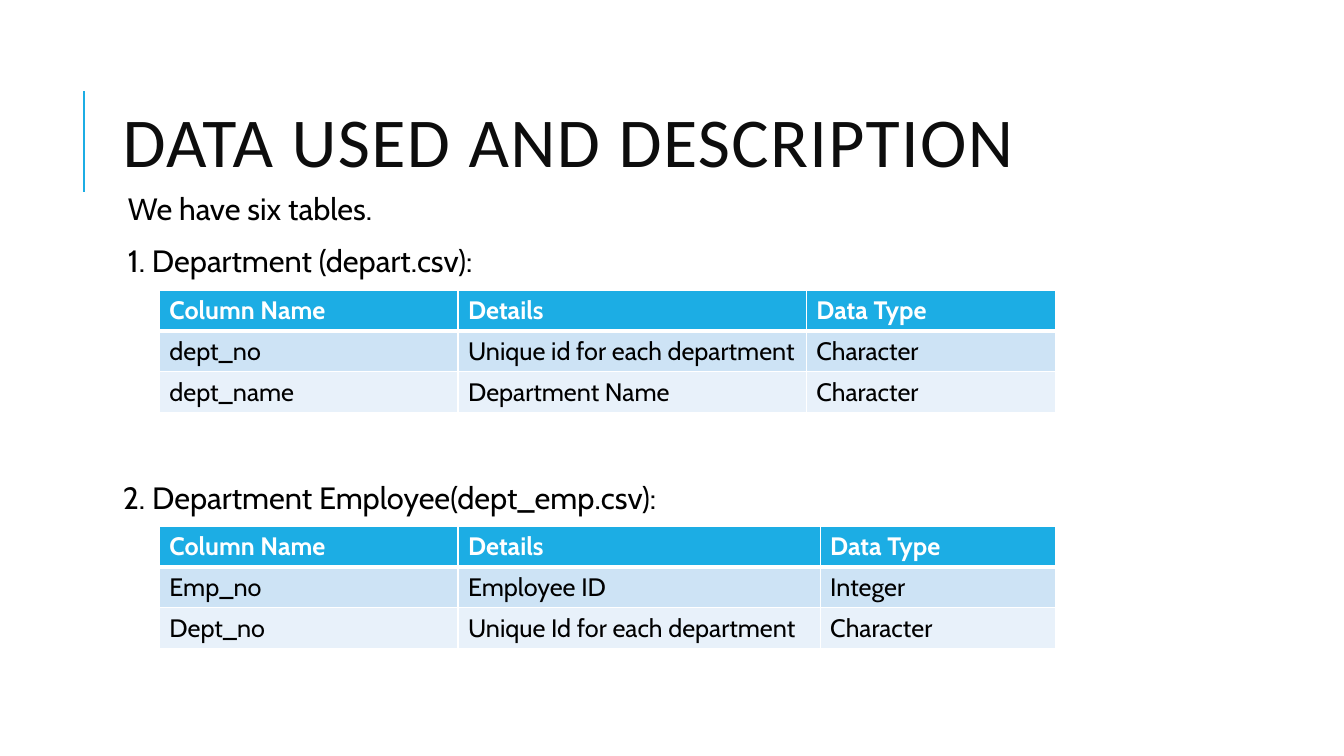
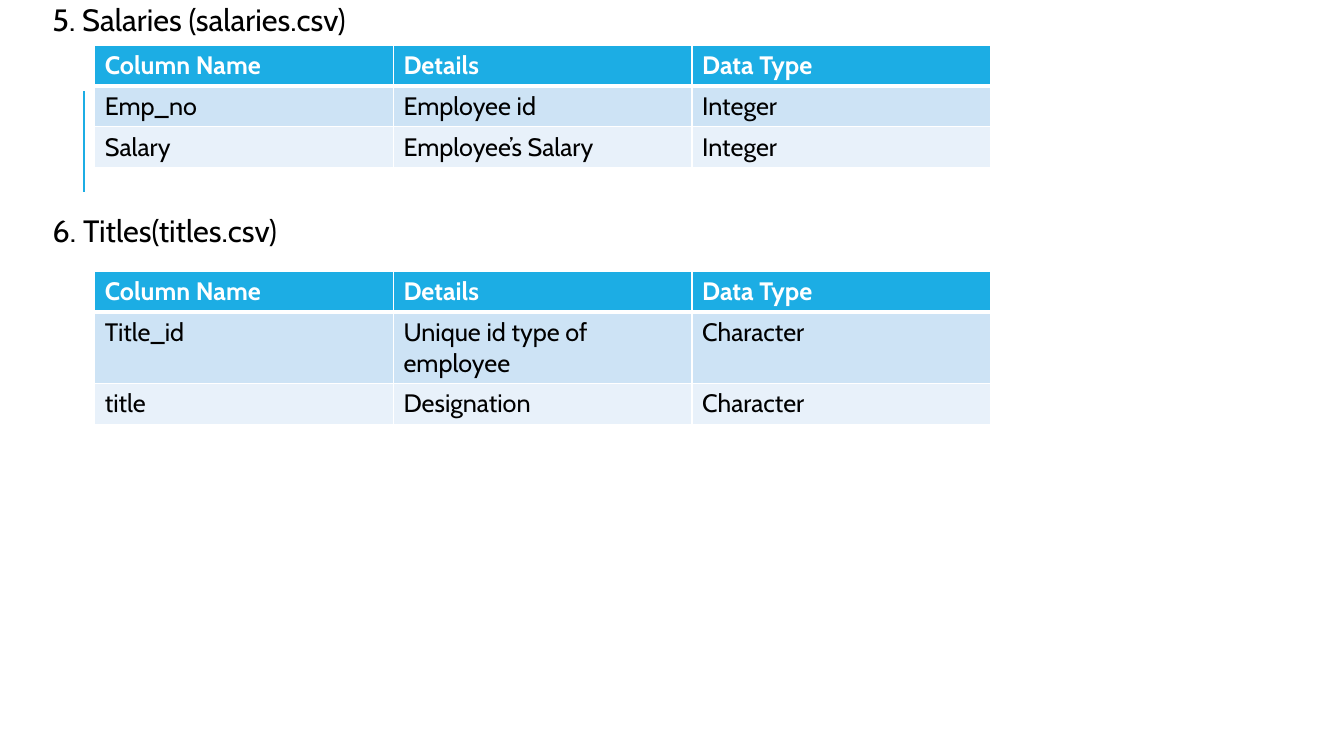
import pptx
import pptx.dml.color
import pptx.enum.shapes
import pptx.enum.text
import pptx.oxml
import pptx.oxml.ns
import pptx.util

ACCENT, WHITE, BLACK, TITLE_INK = "1CADE4", "FFFFFF", "000000", "0D0D0D"
BANDS = ("CDE3F5", "E8F1FA")
BODY_FONT, TITLE_FONT = "Cabin", "Calibri"
HEADINGS = ("Column Name", "Details", "Data Type")
COLUMNS, ROWS = 36, 18
TABLE_ROW = 0.97
INSET = pptx.util.Inches(0.05)


def color(value):
    """Turn a hex string into a colour."""
    return pptx.dml.color.RGBColor.from_string(value)


def write(para, text, size=18, font=BODY_FONT, ink=BLACK, bold=False, spacing=0):
    """Add a formatted span of text to a paragraph."""
    span = para.add_run()
    span.text = text
    span.font.size = pptx.util.Pt(size)
    span.font.name = font
    span.font.bold = bold
    span.font.color.rgb = color(ink)
    if spacing:
        span.font._element.set("spc", str(spacing * 100))


def set_borders(cell, **widths):
    """Draw white cell borders; keywords L, R, T and B override 1 point."""
    properties = cell._tc.get_or_add_tcPr()
    for index, side in enumerate("LRTB"):
        width = pptx.util.Pt(widths.get(side, 1))
        properties.insert(index, pptx.oxml.parse_xml(
            f'<a:ln{side} {pptx.oxml.ns.nsdecls("a")} w="{width}"><a:solidFill>'
            f'<a:srgbClr val="{WHITE}"/></a:solidFill></a:ln{side}>'))


class Builder:
    """Holds the deck, its style and the current page."""

    def __init__(self):
        """Start a wide deck divided into a regular grid."""
        self.deck = pptx.Presentation()
        self.deck.slide_width = pptx.util.Inches(13.333)
        self.deck.slide_height = pptx.util.Inches(7.5)
        self.page = None

    def across(self, columns):
        """Convert grid columns to a length."""
        return round(self.deck.slide_width * columns / COLUMNS)

    def down(self, rows):
        """Convert grid rows to a length."""
        return round(self.deck.slide_height * rows / ROWS)

    def add_page(self):
        """Add a blank page with the shared accent bar."""
        self.page = self.deck.slides.add_slide(self.deck.slide_layouts[6])
        self.page.background.fill.solid()
        self.page.background.fill.fore_color.rgb = color(WHITE)
        bar = self.page.shapes.add_connector(
            pptx.enum.shapes.MSO_CONNECTOR.STRAIGHT,
            self.across(2.25), self.down(4.56), self.across(2.25), self.down(2.16))
        bar.line.color.rgb = color(ACCENT)
        bar.line.width = pptx.util.Pt(1.5)
        bar._element.spPr.append(pptx.oxml.parse_xml(
            f'<a:effectLst {pptx.oxml.ns.nsdecls("a")}/>'))

    def add_frame(self, left, top, width, height):
        """Add a wrapping text box and return its text frame."""
        box = self.page.shapes.add_textbox(
            self.across(left), self.down(top), self.across(width), self.down(height))
        box.text_frame.word_wrap = True
        return box.text_frame

    def add_title(self, text):
        """Add the page title."""
        frame = self.add_frame(3.02, 1.54, 28.7, 3.94)
        frame.vertical_anchor = pptx.enum.text.MSO_ANCHOR.MIDDLE
        para = frame.paragraphs[0]
        para.line_spacing = 0.8
        write(para, text, size=50, font=TITLE_FONT, ink=TITLE_INK, spacing=1)

    def add_body(self, left, top, width, height, lines):
        """Add captions given as (text, points before, indent in inches)."""
        frame = self.add_frame(left, top, width, height)
        frame.margin_left = frame.margin_right = INSET
        frame.margin_top = frame.margin_bottom = INSET
        for index, (text, before, indent) in enumerate(lines):
            para = frame.add_paragraph() if index else frame.paragraphs[0]
            para.line_spacing = 0.9
            para.space_before = pptx.util.Pt(before)
            para.space_after = pptx.util.Pt(2)
            para._p.get_or_add_pPr().set("marL", str(pptx.util.Inches(indent)))
            write(para, text, size=22)

    def add_table(self, left, top, records, widths=(8, 8, 8), heights=(TABLE_ROW,) * 3):
        """Add a banded table under the shared headings."""
        lines = (HEADINGS, *records)
        table = self.page.shapes.add_table(
            len(lines), len(HEADINGS), self.across(left), self.down(top),
            self.across(sum(widths)), self.down(sum(heights))).table
        for column, width in zip(table.columns, widths):
            column.width = self.across(width)
        for number, (line, height) in enumerate(zip(lines, heights)):
            table.rows[number].height = self.down(height)
            header = number == 0
            for position, text in enumerate(line):
                cell = table.cell(number, position)
                cell.fill.solid()
                cell.fill.fore_color.rgb = color(
                    ACCENT if header else BANDS[(number - 1) % 2])
                set_borders(cell, B=3 if header else 1, T=3 if number == 1 else 1)
                write(cell.text_frame.paragraphs[0], text,
                      ink=WHITE if header else BLACK, bold=header)


builder = Builder()

builder.add_page()
builder.add_title("DATA USED AND DESCRIPTION")
builder.add_body(3.02, 4.49, 28.7, 12.07, [
    ("We have six tables.", 0, 0.1),
    ("1. Department (depart.csv):", 12, 0.1),
    ("2. Department Employee(dept_emp.csv):", 143, 0.05),
])
builder.add_table(4.27, 6.91, [
    ("dept_no", "Unique id for each department", "Character"),
    ("dept_name", "Department Name", "Character"),
], widths=(8, 9.33, 6.67))
builder.add_table(4.27, 12.53, [
    ("Emp_no", "Employee ID", "Integer"),
    ("Dept_no", "Unique Id for each department", "Character"),
], widths=(8, 9.7, 6.3))

builder.add_page()
builder.add_body(1, 0, 30.73, 16.56, [
    ("5. Salaries (salaries.csv)", 0, 0.1),
    ("6. Titles(titles.csv)", 125, 0.1),
])
builder.add_table(2.54, 1.08, [
    ("Emp_no", "Employee id", "Integer"),
    ("Salary", "Employee’s Salary", "Integer"),
])
builder.add_table(2.54, 6.46, [
    ("Title_id", "Unique id type of employee", "Character"),
    ("title", "Designation", "Character"),
], heights=(TABLE_ROW, 1.7, TABLE_ROW))

builder.deck.save("out.pptx")
